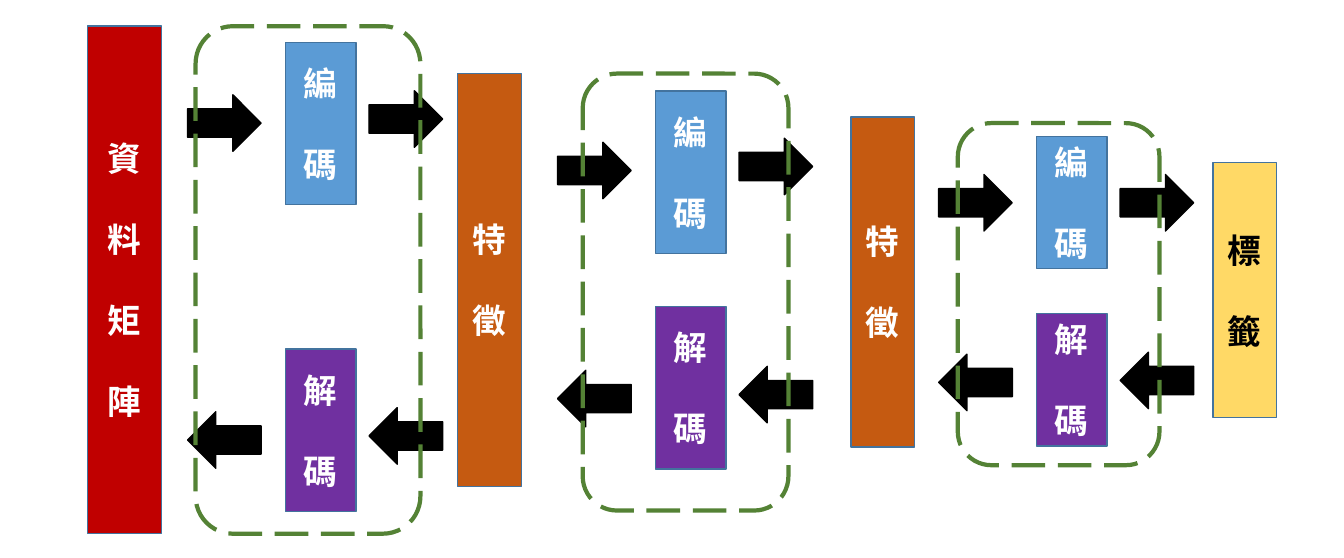
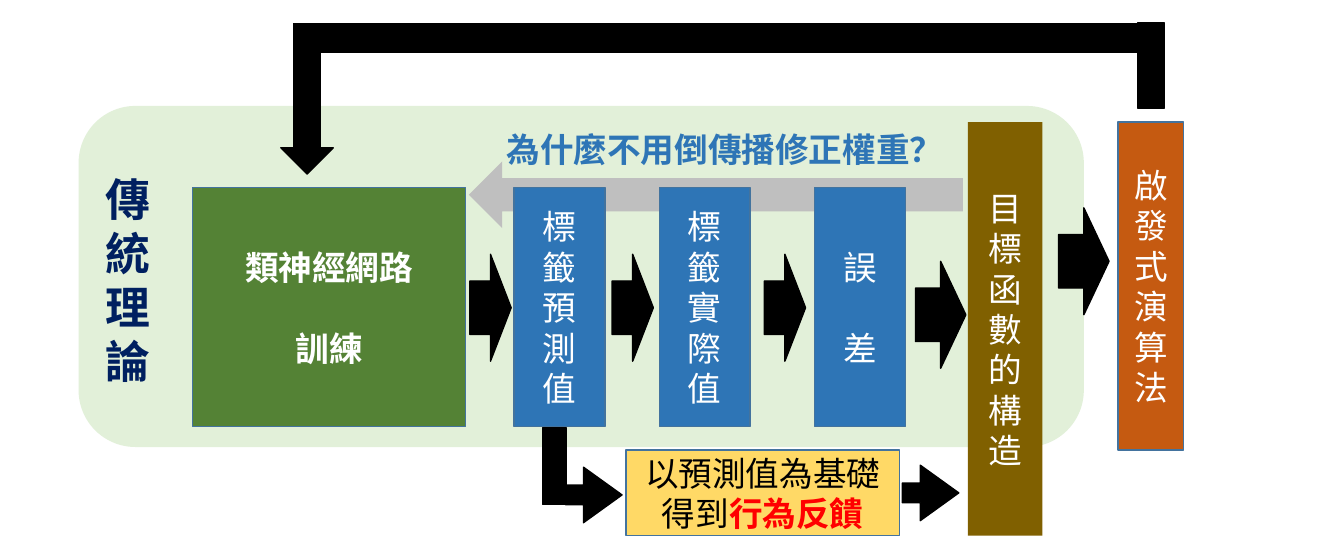
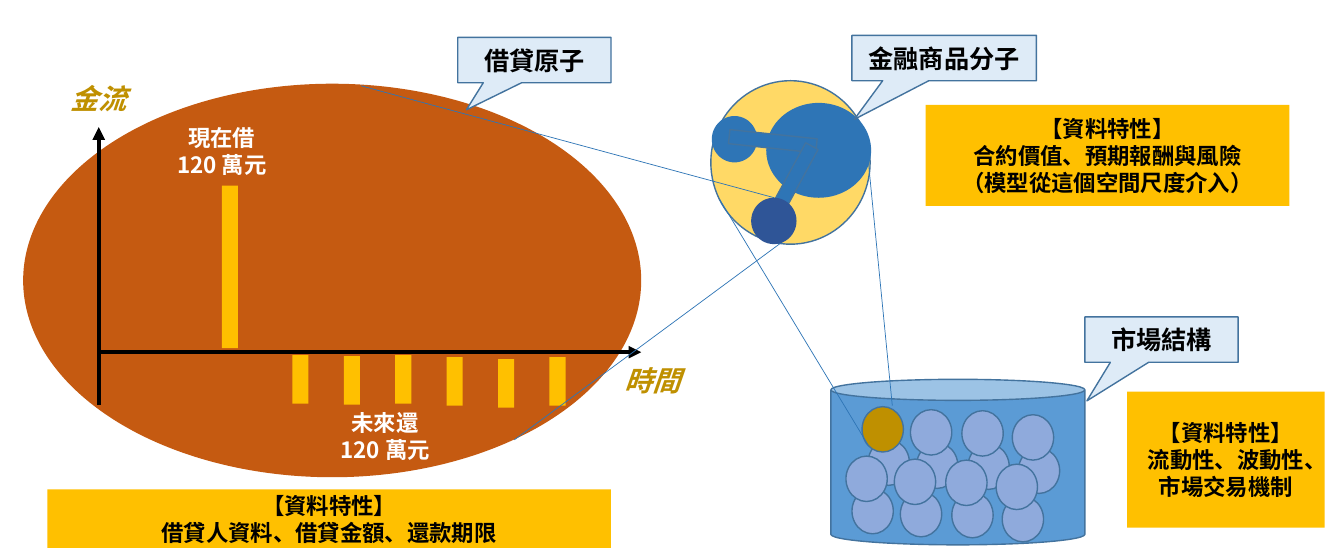
from lxml.etree import SubElement
from pptx import Presentation
from pptx.dml.color import RGBColor
from pptx.enum.dml import MSO_LINE
from pptx.enum.shapes import MSO_CONNECTOR, MSO_SHAPE
from pptx.enum.text import MSO_ANCHOR, PP_ALIGN
from pptx.oxml.ns import qn
from pptx.util import Inches, Pt

# Shared colours, font and text gap
WHITE = RGBColor(0xFF, 0xFF, 0xFF)
BLACK = RGBColor(0, 0, 0)
EDGE = RGBColor(0x43, 0x73, 0x9E)
CRIMSON = RGBColor(0xC0, 0, 0)
RED = RGBColor(0xFF, 0, 0)
SKY = RGBColor(0x5B, 0x9B, 0xD5)
BLUE = RGBColor(0x2E, 0x75, 0xB6)
DEEP = RGBColor(0x2F, 0x55, 0x97)
NAVY = RGBColor(0, 0x20, 0x60)
ICE = RGBColor(0xDE, 0xEB, 0xF7)
LILAC = RGBColor(0x8F, 0xAA, 0xDC)
PURPLE = RGBColor(0x70, 0x30, 0xA0)
RUST = RGBColor(0xC5, 0x5A, 0x11)
SAND = RGBColor(0xFF, 0xD9, 0x66)
AMBER = RGBColor(0xFF, 0xC0, 0)
GOLD = RGBColor(0xBF, 0x90, 0)
OLIVE = RGBColor(0x80, 0x60, 0)
GREEN = RGBColor(0x54, 0x82, 0x35)
MINT = RGBColor(0xE2, 0xF0, 0xD9)
GREY = RGBColor(0xBF, 0xBF, 0xBF)
FONT = "Noto Sans CJK SC"
GAP = 29


def style(run, size, color, bold=True, italic=False, face=FONT):
    font = run.font
    font.size = Pt(size)
    font.bold = bold
    font.italic = italic
    font.color.rgb = color
    font.name = face
    SubElement(run._r.get_or_add_rPr(), qn("a:ea")).set("typeface", FONT)


def write(shape, lines, size=24, color=WHITE, bold=True, italic=False,
          gap=0, align=PP_ALIGN.CENTER, face=FONT):
    frame = shape.text_frame
    frame.word_wrap = True
    frame.vertical_anchor = MSO_ANCHOR.MIDDLE
    for i, line in enumerate(lines):
        para = frame.add_paragraph() if i else frame.paragraphs[0]
        para.text = line
        para.alignment = align
        para.line_spacing = Pt(size * 1.2)
        para.space_before = Pt(gap if i else 0)
        for run in para.runs:
            style(run, size, color, bold, italic, face)
    return shape


def draw(slide, kind, at, fill=None, edge=EDGE, width=1, adj=(), turn=0):
    shape = slide.shapes.add_shape(kind, *map(Inches, at))
    shape.shadow.inherit = False
    shape.rotation = turn
    for i, value in enumerate(adj):
        shape.adjustments[i] = value
    if fill is None:
        shape.fill.background()
    else:
        shape.fill.solid()
        shape.fill.fore_color.rgb = fill
    if edge is None:
        shape.line.fill.background()
    else:
        shape.line.color.rgb = edge
        shape.line.width = Pt(width)
    return shape


def box(slide, at, fill, edge=EDGE):
    return draw(slide, MSO_SHAPE.RECTANGLE, at, fill, edge)


def ball(slide, at, fill, edge=EDGE):
    return draw(slide, MSO_SHAPE.OVAL, at, fill, edge)


def arrow(slide, at, turn=0, adj=(), fill=BLACK, edge=BLACK):
    return draw(slide, MSO_SHAPE.RIGHT_ARROW, at, fill, edge, 1, adj, turn)


def label(slide, at, lines, **look):
    area = slide.shapes.add_textbox(*map(Inches, at))
    frame = area.text_frame
    frame.margin_left = frame.margin_right = Inches(0.02)
    return write(area, lines, **look)


def line(slide, start, end, color=BLUE, width=0.5, head=False):
    link = slide.shapes.add_connector(
        MSO_CONNECTOR.STRAIGHT, *map(Inches, start + end))
    link.line.color.rgb = color
    link.line.width = Pt(width)
    if head:
        SubElement(link.line._get_or_add_ln(), qn("a:tailEnd")).set("type", "triangle")
    SubElement(link._element.spPr, qn("a:effectLst"))


def callout(slide, at, text, adj):
    shape = draw(slide, MSO_SHAPE.RECTANGULAR_CALLOUT, at, ICE, adj=adj)
    write(shape, [text], 18, BLACK, face="Calibri")


def note(slide, at, *lines):
    write(box(slide, at, AMBER, None), ("【資料特性】",) + lines, 16, BLACK)


def coders(slide):
    # Data, features and label
    for at, text, fill, color in (
        ((0.87, 0.26, 0.73, 5.03), "資料矩陣", CRIMSON, WHITE),
        ((4.54, 0.73, 0.63, 4.09), "特徵", RUST, WHITE),
        ((8.44, 1.16, 0.63, 3.27), "特徵", RUST, WHITE),
        ((12.03, 1.61, 0.63, 2.53), "標籤", SAND, BLACK),
    ):
        write(box(slide, at, fill), text, color=color, gap=GAP)

    # Encoder and decoder stages, with arrows out and back
    for left, high, low, tall, ups, downs, frame in (
        (2.83, 0.42, 3.46, 1.61, (0.94, 0.9), (4.08, 4.04), (1.94, 0.26, 2.23, 5.03)),
        (6.5, 0.9, 3.04, 1.61, (1.41, 1.37), (3.67, 3.63), (5.78, 0.73, 2.04, 4.33)),
        (10.28, 1.35, 3.11, 1.31, (1.73, 1.73), (3.51, 3.49), (9.5, 1.22, 2, 3.39)),
    ):
        for top, text, fill in ((high, "編碼", SKY), (low, "解碼", PURPLE)):
            write(box(slide, (left, top, 0.7, tall), fill), text, gap=GAP)
        for tops, turn in ((ups, 0), (downs, 180)):
            for shift, top in zip((-0.97, 0.83), tops):
                arrow(slide, (left + shift, top, 0.73, 0.56), turn)
        edge = draw(slide, MSO_SHAPE.ROUNDED_RECTANGLE, frame, None, GREEN, 3)
        edge.line.dash_style = MSO_LINE.LONG_DASH


def theory(slide):
    # Backdrop and backward arrow
    draw(slide, MSO_SHAPE.ROUNDED_RECTANGLE, (0.78, 1.05, 9.97, 3.38), MINT, None)
    arrow(slide, (4.65, 1.6, 4.9, 0.66), 180, fill=GREY, edge=None)

    # Main chain
    train = box(slide, (1.91, 1.86, 2.71, 2.37), GREEN)
    write(train, ("類神經網路", "訓練"), gap=GAP)
    for left, text, gap in ((5.1, "標籤預測值", 0), (6.54, "標籤實際值", 0),
                            (8.08, "誤差", GAP)):
        write(box(slide, (left, 1.86, 0.9, 2.37), BLUE), text, bold=False, gap=gap)
    for left, top, wide in ((4.66, 2.52, 0.41), (6.07, 2.52, 0.41),
                            (7.58, 2.52, 0.41), (9.08, 2.59, 0.5)):
        arrow(slide, (left, top, wide, 1.06))

    # Feedback branch
    box(slide, (5.38, 4.24, 0.24, 0.76), BLACK, BLACK)
    for left, top in ((5.61, 4.63), (8.95, 4.61)):
        arrow(slide, (left, top, 0.56, 0.55), adj=(0.353, 0.695))
    reply = box(slide, (6.21, 4.46, 2.71, 0.85), SAND)
    write(reply, ("以預測值為基礎", "得到"), color=BLACK, bold=False)
    run = reply.text_frame.paragraphs[1].add_run()
    run.text = "行為反饋"
    style(run, 24, RED)

    # Goal function and heuristic
    goal = box(slide, (9.6, 1.21, 0.74, 4.1), OLIVE, None)
    write(goal, "目標函數的構造", bold=False)
    arrow(slide, (10.5, 2.06, 0.5, 1.06))
    write(box(slide, (11.09, 1.21, 0.65, 3.25), RUST), "啟發式演算法", bold=False)

    # Return loop
    for at in ((11.28, 0.23, 0.27, 0.84), (2.91, 0.23, 8.56, 0.29)):
        box(slide, at, BLACK, BLACK)
    arrow(slide, (2.44, 0.86, 1.21, 0.52), 90)

    # Captions
    label(slide, (4.67, 1.05, 5.04, 0.85), ["為什麼不用倒傳播修正權重？"], color=BLUE)
    label(slide, (1.03, 1.72, 0.48, 2.1), "傳統理論", size=32, color=NAVY)


def market(slide):
    # Container, molecule and atom grounds
    draw(slide, MSO_SHAPE.CAN, (8.24, 3.76, 2.52, 1.64), SKY, adj=[0.127])
    ball(slide, (7.05, 0.8, 1.58, 1.62), SAND)
    ball(slide, (0.23, 0.83, 6.13, 3.9), RUST, None)

    # Cash flow over time
    line(slide, (0.98, 3.49), (6.36, 3.49), BLACK, 3, True)
    box(slide, (2.2, 1.84, 0.16, 1.61), AMBER, None)
    for i, top in enumerate((3.52, 3.53, 3.52, 3.54, 3.56, 3.54)):
        box(slide, (2.9 + 0.51 * i, top, 0.16, 0.48), AMBER, None)
    line(slide, (0.98, 4.01), (0.98, 1.26), BLACK, 3, True)
    for left, top, text in ((5.83, 3.39, "時間"), (0.34, 0.6, "金流")):
        label(slide, (left, top, 0.94, 0.75), [text], size=20, color=GOLD,
              italic=True, align=PP_ALIGN.RIGHT)
    for left, top, text in ((1.59, 1.24, "現在借"), (3.21, 4.06, "未來還")):
        label(slide, (left, top, 1.22, 0.52), (text, "120 萬元"), size=16)
    note(slide, (0.47, 4.85, 5.59, 0.58), "借貸人資料、借貸金額、還款期限")

    # Zoom lines from atom to molecule
    line(slide, (3.58, 0.85), (7.68, 1.96))
    line(slide, (5.1, 4.36), (7.81, 2.36))
    callout(slide, (4.54, 0.37, 1.52, 0.45), "借貸原子", (-0.444, 1.097))

    # Molecule
    ball(slide, (7.06, 1.15, 0.45, 0.46), BLUE, None)
    ball(slide, (7.6, 1.02, 1.04, 0.94), BLUE, None)
    for left, top, turn in ((7.23, 1.33, 6), (7.41, 1.76, 298.6)):
        draw(slide, MSO_SHAPE.RECTANGLE, (left, top, 0.87, 0.14), BLUE, turn=turn)

    # Market balls: back pair of rows, then front pair
    for rows in (((8.61, 4.36), (8.45, 4.84)), ((8.55, 4.03), (8.39, 4.52))):
        for right, down in ((0, 0), (0.48, 0.03), (0.99, 0.04), (1.49, 0.08)):
            for left, top in rows:
                fill = GOLD if (left + right, top) == (8.55, 4.03) else LILAC
                ball(slide, (left + right, top + down, 0.41, 0.45), fill)
    callout(slide, (10.76, 3.14, 1.52, 0.45), "市場結構", (-0.487, 1.351))

    # Zoom lines from molecule to market
    line(slide, (8.59, 1.37), (8.85, 4.02))
    line(slide, (7.14, 1.98), (8.61, 4.41))
    ball(slide, (7.45, 1.96, 0.45, 0.46), DEEP, None)
    callout(slide, (8.45, 0.35, 1.83, 0.45), "金融商品分子", (-0.487, 1.351))
    note(slide, (9.18, 1.04, 3.61, 1), "合約價值、預期報酬與風險",
         "（模型從這個空間尺度介入）")
    note(slide, (11.18, 3.88, 1.96, 1.35), "流動性、波動性、市場交易機制")


def main():
    deck = Presentation()
    deck.slide_width = Inches(13.33)
    deck.slide_height = Inches(5.53)
    for build in (coders, theory, market):
        build(deck.slides.add_slide(deck.slide_layouts[6]))
    deck.save("out.pptx")


main()
